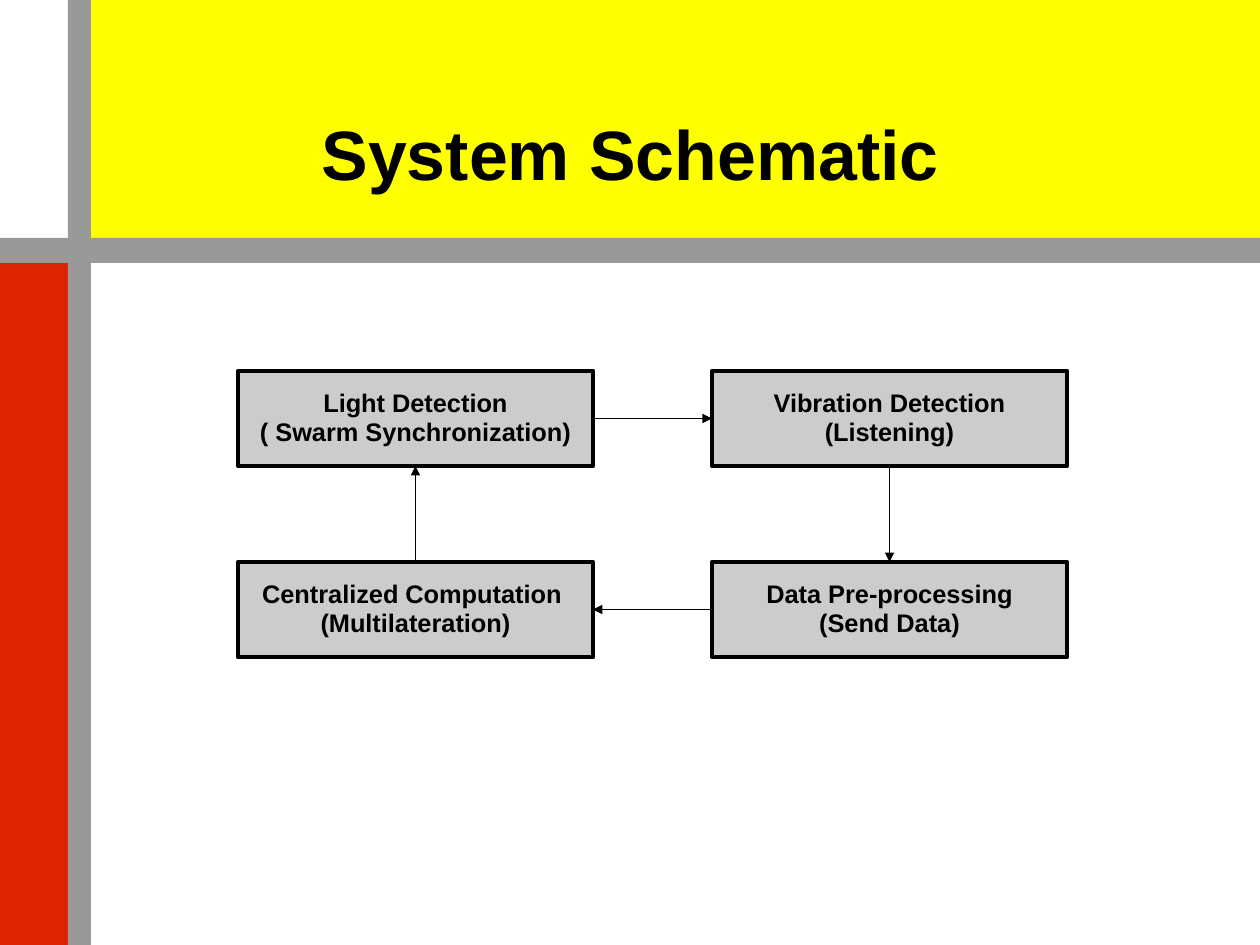
from dataclasses import dataclass

from lxml import etree
from pptx import Presentation
from pptx.dml.color import RGBColor
from pptx.enum.shapes import MSO_CONNECTOR, MSO_SHAPE
from pptx.enum.text import MSO_ANCHOR, PP_ALIGN
from pptx.oxml.ns import qn
from pptx.shapes.autoshape import Shape
from pptx.shapes.shapetree import SlideShapes
from pptx.text.text import TextFrame
from pptx.util import Pt

ROUND = MSO_SHAPE.ROUNDED_RECTANGLE
ELBOW = MSO_CONNECTOR.ELBOW
MIDDLE = MSO_ANCHOR.MIDDLE
CENTER = PP_ALIGN.CENTER

PX = 8000
WIDE, HIGH = 1260, 945
COLORS = {
    "red": "DC2300",
    "yellow": "FFFF00",
    "gray": "999999",
    "light": "CCCCCC",
    "black": "000000",
}
LEFT, TOP = 238, 371
STEP_X, STEP_Y = 474, 191
BOX_W, BOX_H = 355, 95
UP, WEST, DOWN, EAST = 0, 1, 2, 3


@dataclass(frozen=True)
class Band:
    x: int
    y: int
    w: int
    h: int
    color: str


@dataclass(frozen=True)
class Stage:
    lines: tuple[str, ...]
    col: int
    row: int


@dataclass(frozen=True)
class Arrow:
    start: int
    out: int
    end: int
    into: int


BANDS = (
    Band(0, 256, 77, 689, "red"),
    Band(89, 0, 1171, 240, "yellow"),
    Band(0, 238, WIDE, 25, "gray"),
    Band(68, 0, 23, HIGH, "gray"),
)
STAGES = (
    Stage(("Light Detection", "( Swarm Synchronization)"), 0, 0),
    Stage(("Vibration Detection", "(Listening)"), 1, 0),
    Stage(("Data Pre-processing", "(Send Data)"), 1, 1),
    Stage(("Centralized Computation ", "(Multilateration)"), 0, 1),
)
ARROWS = (
    Arrow(0, EAST, 1, WEST),
    Arrow(1, DOWN, 2, UP),
    Arrow(2, WEST, 3, EAST),
    Arrow(3, UP, 0, DOWN),
)


def tint(name: str) -> RGBColor:
    return RGBColor.from_string(COLORS[name])


def write(frame: TextFrame, lines: tuple[str, ...], size: int, pad_x: int, pad_y: int) -> None:
    form = {
        "word_wrap": True,
        "vertical_anchor": MIDDLE,
        "margin_left": pad_x * PX,
        "margin_right": pad_x * PX,
        "margin_top": pad_y * PX,
        "margin_bottom": pad_y * PX,
    }
    for key, value in form.items():
        setattr(frame, key, value)
    frame.text = "\n".join(lines)
    face = {"name": "Arial", "size": Pt(size), "bold": True}
    for para in frame.paragraphs:
        para.alignment = CENTER
        para.line_spacing = 0.93
        for key, value in face.items():
            setattr(para.font, key, value)
        para.font.color.rgb = tint("black")


def block(shapes: SlideShapes, band: Band) -> Shape:
    shape = shapes.add_shape(ROUND, band.x * PX, band.y * PX, band.w * PX, band.h * PX)
    shape.adjustments[0] = 0
    shape.shadow.inherit = False
    shape.fill.solid()
    shape.fill.fore_color.rgb = tint(band.color)
    shape.line.fill.background()
    return shape


def card(shapes: SlideShapes, stage: Stage) -> Shape:
    x = LEFT + stage.col * STEP_X
    y = TOP + stage.row * STEP_Y
    shape = block(shapes, Band(x, y, BOX_W, BOX_H, "light"))
    shape.line.color.rgb = tint("black")
    shape.line.width = Pt(2.89)
    write(shape.text_frame, stage.lines, 16, 14, 8)
    return shape


def link(shapes: SlideShapes, cards: list[Shape], arrow: Arrow) -> None:
    line = shapes.add_connector(ELBOW, 0, 0, 0, 0)
    line.begin_connect(cards[arrow.start], arrow.out)
    line.end_connect(cards[arrow.end], arrow.into)
    line.line.color.rgb = tint("black")
    line.line.width = Pt(0.75)
    props = line.element.spPr
    etree.SubElement(props.find(qn("a:ln")), qn("a:tailEnd"), type="triangle")
    etree.SubElement(props, qn("a:effectLst"))


def main() -> None:
    deck = Presentation()
    deck.slide_width, deck.slide_height = WIDE * PX, HIGH * PX
    shapes = deck.slides.add_slide(deck.slide_layouts[6]).shapes
    for band in BANDS:
        block(shapes, band)
    title = shapes.add_textbox(93 * PX, 78 * PX, 1075 * PX, 158 * PX)
    write(title.text_frame, ("System Schematic",), 44, 0, 0)
    cards = [card(shapes, stage) for stage in STAGES]
    for arrow in ARROWS:
        link(shapes, cards, arrow)
    deck.save("out.pptx")


if __name__ == "__main__":
    main()
